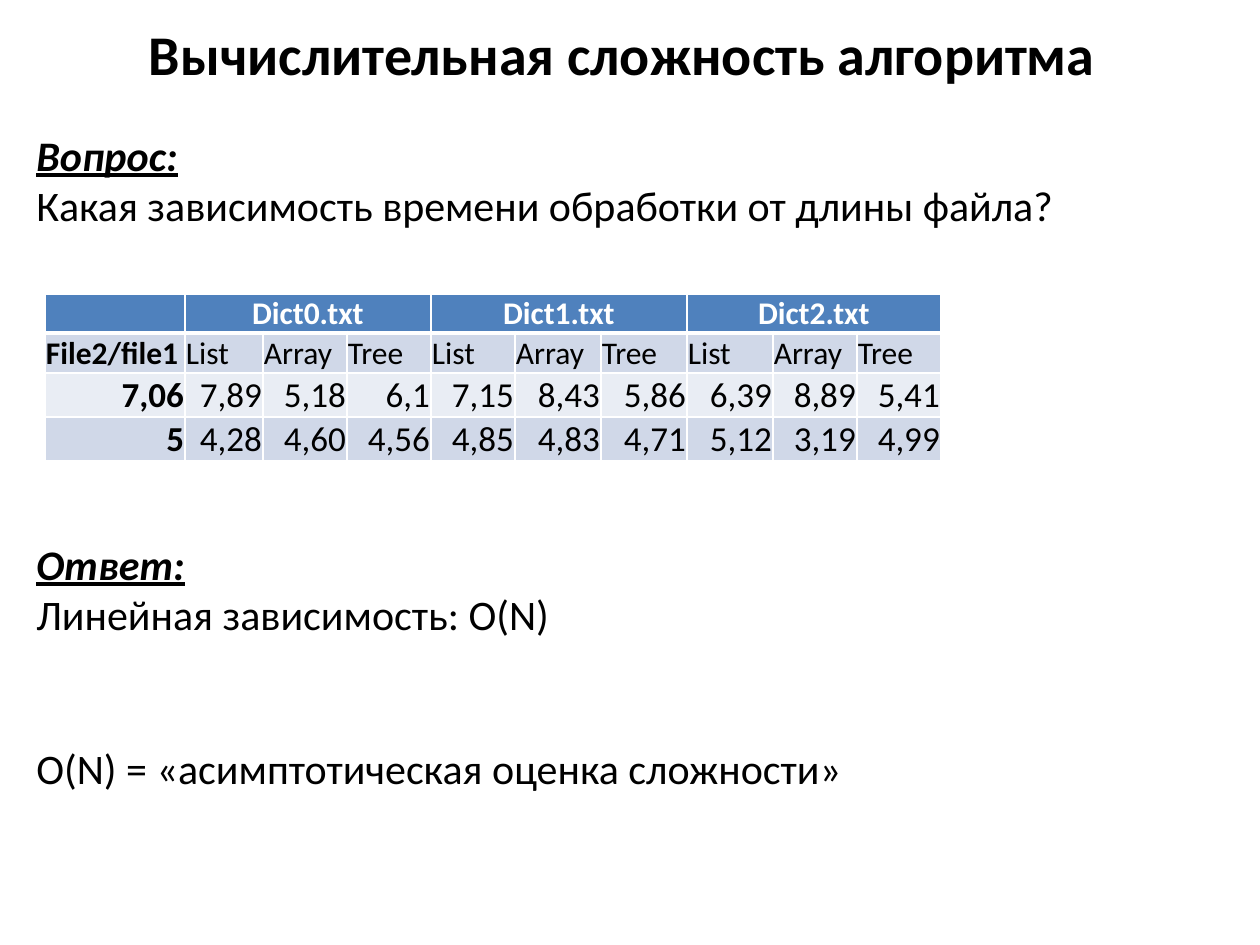
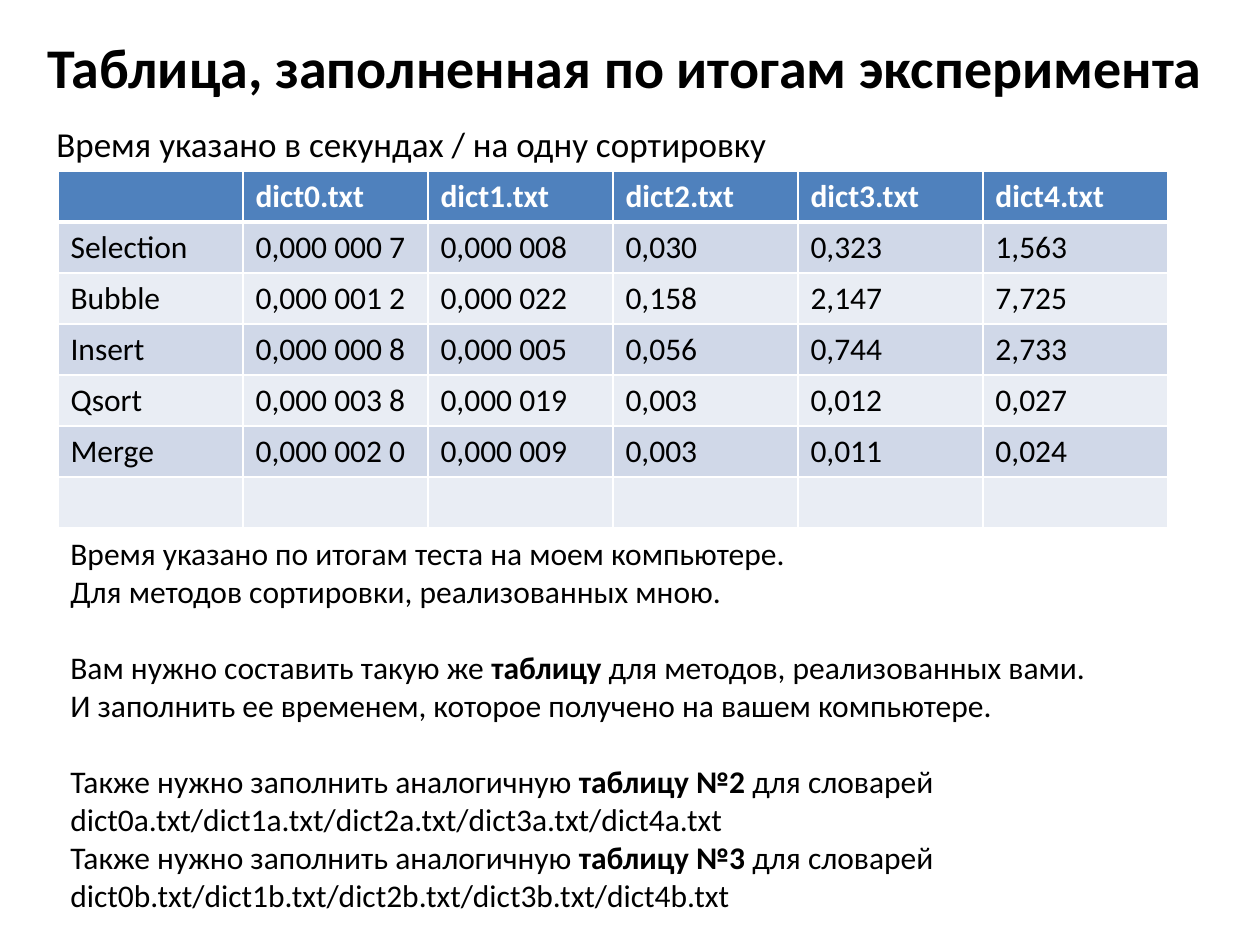
from dataclasses import dataclass
from typing import Optional, Sequence

from lxml import etree
from pptx import Presentation
from pptx import util as u
from pptx.dml.color import RGBColor
from pptx.enum import text as t
from pptx.oxml import ns

PX_PER_INCH = 126
SLIDE_WIDTH, SLIDE_HEIGHT = 1260, 945
FONT = "Calibri"
BLACK = RGBColor(0x00, 0x00, 0x00)
WHITE = RGBColor(0xFF, 0xFF, 0xFF)
HEADER_BLUE = RGBColor(0x4F, 0x81, 0xBD)
BAND_DARK = RGBColor(0xD0, 0xD8, 0xE8)
BAND_LIGHT = RGBColor(0xE9, 0xED, 0xF4)
TITLE_ONLY = 5


@dataclass(frozen=True)
class Box:
    left: int
    top: int
    width: int
    height: int

    def emu(self) -> list[u.Emu]:
        return [px(side) for side in (self.left, self.top, self.width, self.height)]


@dataclass(frozen=True)
class Piece:
    text: str
    bold: bool = False
    heading: bool = False


@dataclass(frozen=True)
class Line:
    pieces: Sequence[Piece]
    gap_before: int = 0


@dataclass(frozen=True)
class Grid:
    left: int
    top: int
    columns: Sequence[int]
    row_heights: Sequence[int]
    rows: Sequence[Sequence[str]]
    header_span: int = 1
    compact: bool = False


def px(length: int) -> u.Emu:
    return u.Emu(round(length * u.Inches(1) / PX_PER_INCH))


def style_run(run, size: int, color: RGBColor = BLACK, bold: bool = False) -> None:
    run.font.name = FONT
    run.font.size = u.Pt(size)
    run.font.color.rgb = color
    run.font.bold = bold


def add_title(slide, wording: str, box: Box) -> None:
    title = slide.shapes.title
    title.left, title.top, title.width, title.height = box.emu()
    frame = title.text_frame
    frame.text = wording
    frame.word_wrap = True
    frame.auto_size = t.MSO_AUTO_SIZE.NONE
    frame.vertical_anchor = t.MSO_ANCHOR.MIDDLE
    heading = frame.paragraphs[0]
    heading.alignment = t.PP_ALIGN.CENTER
    style_run(heading.runs[0], 32, bold=True)


def add_text(slide, box: Box, size: int, lines: Sequence[Line]) -> None:
    frame = slide.shapes.add_textbox(*box.emu()).text_frame
    frame.word_wrap = True
    frame.auto_size = t.MSO_AUTO_SIZE.SHAPE_TO_FIT_TEXT
    for number, line in enumerate(lines):
        paragraph = frame.add_paragraph() if number else frame.paragraphs[0]
        if line.gap_before:
            paragraph.space_before = u.Pt(line.gap_before)
        for piece in line.pieces:
            run = paragraph.add_run()
            run.text = piece.text
            style_run(run, size, bold=piece.bold or piece.heading)
            if piece.heading:
                run.font.italic = run.font.underline = True


def add_borders(cell, top: int, bottom: int) -> None:
    properties = cell._tc.get_or_add_tcPr()
    for side, points in (("L", 1), ("R", 1), ("T", top), ("B", bottom)):
        border = etree.SubElement(properties, ns.qn(f"a:ln{side}"), w=str(u.Pt(points)))
        fill = etree.SubElement(border, ns.qn("a:solidFill"))
        etree.SubElement(fill, ns.qn("a:srgbClr"), val=str(WHITE))


def format_cell(cell, row: int, column: int, compact: bool) -> None:
    add_borders(cell, 3 if row == 1 else 1, 3 if row == 0 else 1)
    cell.fill.solid()
    cell.fill.fore_color.rgb = (
        HEADER_BLUE if row == 0 else BAND_DARK if row % 2 else BAND_LIGHT)
    alignment: Optional[t.PP_ALIGN] = None
    if compact:
        cell.margin_left = cell.margin_right = cell.margin_top = px(1)
        cell.margin_bottom = 0
        cell.vertical_anchor = t.MSO_ANCHOR.BOTTOM
        alignment = (t.PP_ALIGN.CENTER, t.PP_ALIGN.LEFT)[row] if row < 2 else t.PP_ALIGN.RIGHT
    paragraph = cell.text_frame.paragraphs[0]
    paragraph.alignment = alignment
    for run in paragraph.runs:
        style_run(
            run,
            size=20 if compact and row > 1 else 18,
            color=BLACK if row else WHITE,
            bold=row == 0 or (compact and column == 0),
        )


def add_grid(slide, grid: Grid) -> None:
    box = Box(grid.left, grid.top, sum(grid.columns), sum(grid.row_heights))
    table = slide.shapes.add_table(
        len(grid.rows), len(grid.columns), *box.emu()).table
    for column, width in zip(table.columns, grid.columns):
        column.width = px(width)
    for row, height in zip(table.rows, grid.row_heights):
        row.height = px(height)
    for row, values in enumerate(grid.rows):
        for column, value in enumerate(values):
            cell = table.cell(row, column)
            if value:
                cell.text = value
            format_cell(cell, row, column, grid.compact)
    if grid.header_span > 1:
        for first in range(1, len(grid.columns), grid.header_span):
            table.cell(0, first).merge(table.cell(0, first + grid.header_span - 1))


def build_complexity(slide) -> None:
    add_title(slide, "Вычислительная сложность алгоритма", Box(0, 14, 1245, 79))
    add_text(slide, Box(24, 123, 1211, 726), 24, [
        Line([Piece("Вопрос:", heading=True)]),
        Line([Piece("Какая зависимость времени обработки от длины файла?")]),
        Line([Piece("Ответ:", heading=True)], gap_before=176),
        Line([Piece("Линейная зависимость: O(N)")]),
        Line([Piece("O(N) = «асимптотическая оценка сложности»")], gap_before=59),
    ])
    dictionaries = [f"Dict{number}.txt" for number in range(3)]
    structures = ["List", "Array", "Tree"]
    header = [""]
    for dictionary in dictionaries:
        header += [dictionary, "", ""]
    add_grid(slide, Grid(
        left=45, top=294,
        columns=[140, 78, 84, 84, 84, 86, 86, 86, 84, 84],
        row_heights=[38, 40, 44, 44],
        rows=[
            header,
            ["File2/file1"] + structures * len(dictionaries),
            ["7,06", "7,89", "5,18", "6,1", "7,15", "8,43", "5,86", "6,39", "8,89", "5,41"],
            ["5", "4,28", "4,60", "4,56", "4,85", "4,83", "4,71", "5,12", "3,19", "4,99"],
        ],
        header_span=len(structures),
        compact=True,
    ))


def dictionary_task(number: int, suffix: str, gap_before: int = 0) -> Line:
    files = "/".join(f"dict{index}{suffix}.txt" for index in range(5))
    return Line([
        Piece("Также нужно заполнить аналогичную "),
        Piece(f"таблицу №{number} ", bold=True),
        Piece(f"для словарей {files}"),
    ], gap_before)


def build_experiment(slide) -> None:
    add_title(slide, "Таблица, заполненная по итогам эксперимента", Box(25, 16, 1201, 100))
    add_text(slide, Box(44, 116, 1181, 55), 20, [
        Line([Piece("Время указано в секундах / на одну сортировку")]),
    ])
    timings = [
        [""] + [f"dict{index}.txt" for index in range(5)],
        ["Selection", "0,000 000 7", "0,000 008", "0,030", "0,323", "1,563"],
        ["Bubble", "0,000 001 2", "0,000 022", "0,158", "2,147", "7,725"],
        ["Insert", "0,000 000 8", "0,000 005", "0,056", "0,744", "2,733"],
        ["Qsort", "0,000 003 8", "0,000 019", "0,003", "0,012", "0,027"],
        ["Merge", "0,000 002 0", "0,000 009", "0,003", "0,011", "0,024"],
        [""] * 6,
    ]
    add_grid(slide, Grid(
        left=58, top=171, columns=[185] * 6, row_heights=[51] * len(timings), rows=timings))
    add_text(slide, Box(58, 528, 1181, 394), 18, [
        Line([Piece("Время указано по итогам теста на моем компьютере.")]),
        Line([Piece("Для методов сортировки, реализованных мною.")]),
        Line([
            Piece("Вам нужно составить такую же "),
            Piece("таблицу", bold=True),
            Piece(" для методов, реализованных вами."),
        ], gap_before=22),
        Line([Piece("И заполнить ее временем, которое получено на вашем компьютере.")]),
        dictionary_task(2, "a", gap_before=22),
        dictionary_task(3, "b"),
    ])


def main() -> None:
    deck = Presentation()
    deck.slide_width, deck.slide_height = px(SLIDE_WIDTH), px(SLIDE_HEIGHT)
    for build in (build_complexity, build_experiment):
        build(deck.slides.add_slide(deck.slide_layouts[TITLE_ONLY]))
    deck.save("out.pptx")


if __name__ == "__main__":
    main()
